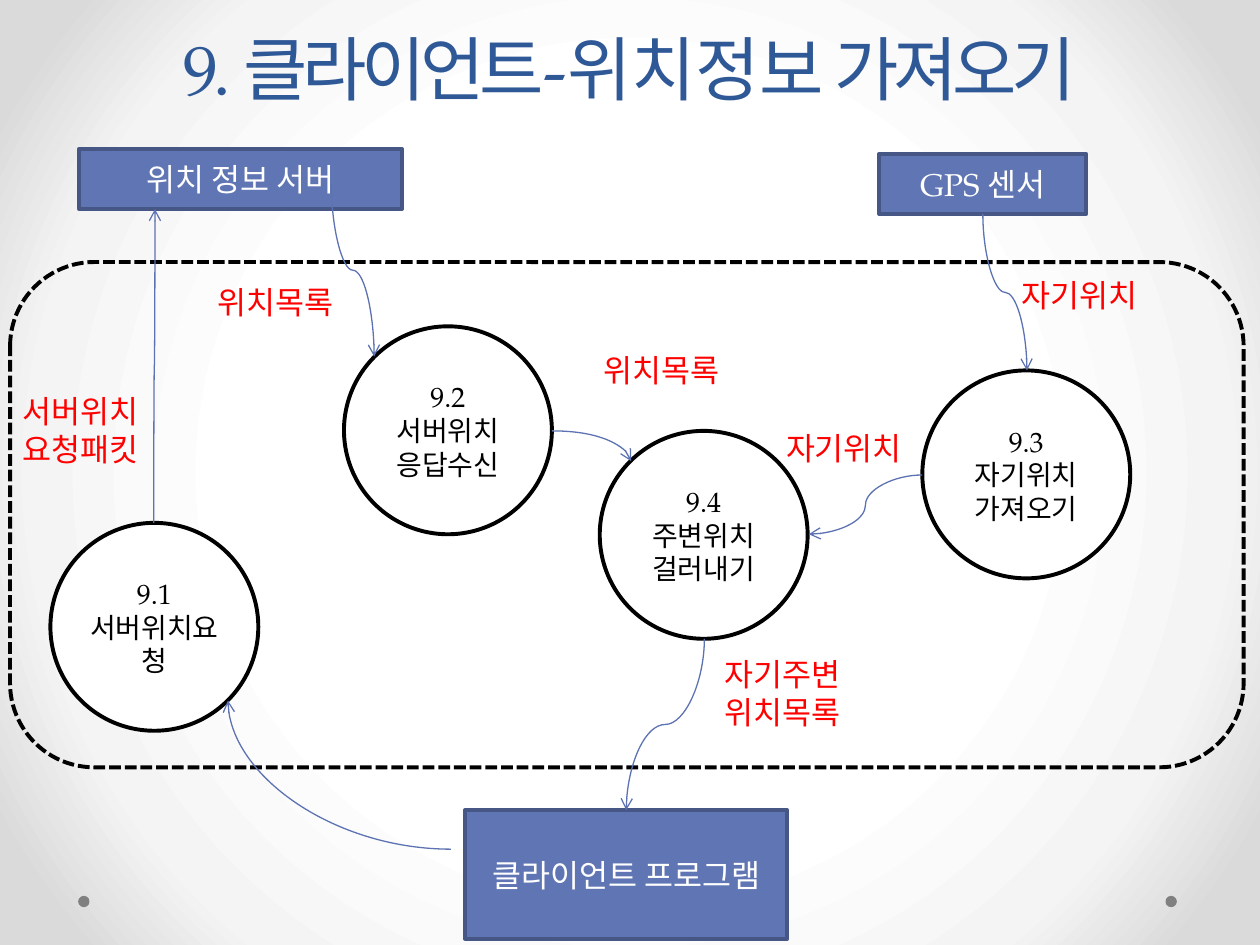
from lxml.etree import SubElement
from pptx import Presentation
from pptx.dml.color import RGBColor
from pptx.enum.dml import MSO_LINE
from pptx.enum.shapes import MSO_CONNECTOR, MSO_SHAPE
from pptx.enum.text import MSO_ANCHOR, MSO_AUTO_SIZE, PP_ALIGN
from pptx.oxml import parse_xml
from pptx.oxml.ns import nsdecls, qn
from pptx.util import Inches, Pt

theme = {
    "font": "TeX Gyre Pagella",
    "title": "2F5897", "box": "6076B4", "box_line": "475785", "arrow": "5C72B2",
    "label": "FF0000", "white": "FFFFFF", "black": "000000", "dot": "808080",
    "title_size": 40, "text_size": 18, "circle_size": 16, "outline": 2.25, "arrow_width": 0.75,
    "background": [(0, "FFFFFF"), (50, "FFFFFF"), (76, "F4F4F4"), (92, "DADADA"), (100, "DADADA")],
}


def write(frame, lines, size, color, align, **formats):
    """Fill a text frame with one paragraph per line."""
    for name, value in {"word_wrap": True, **formats}.items():
        setattr(frame, name, value)
    for number, line in enumerate(lines):
        para = frame.paragraphs[0] if number == 0 else frame.add_paragraph()
        para.alignment = align
        span = para.add_run()
        span.text = line
        for name, value in {"name": theme["font"], "size": Pt(size)}.items():
            setattr(span.font, name, value)
        span.font.color.rgb = RGBColor.from_string(color)


def add_figure(kind, left, top, width, height, fill=None, line=None):
    """Add a flat preset shape."""
    shape = page.shapes.add_shape(kind, Inches(left), Inches(top), Inches(width), Inches(height))
    shape.shadow.inherit = False
    if fill:
        shape.fill.solid()
        shape.fill.fore_color.rgb = RGBColor.from_string(theme[fill])
    else:
        shape.fill.background()
    if line:
        shape.line.color.rgb = RGBColor.from_string(theme[line])
        shape.line.width = Pt(theme["outline"])
    else:
        shape.line.fill.background()
    return shape


deck = Presentation()
deck.slide_width, deck.slide_height = Inches(10), Inches(7.5)
page = deck.slides.add_slide(deck.slide_layouts[5])

# Background: round gradient from the centre
stops = "".join(f'<a:gs pos="{pos * 1000}"><a:srgbClr val="{color}"/></a:gs>'
                for pos, color in theme["background"])
page.background.fill.solid()
properties = page.background.fill._xPr
properties.replace(properties.find(qn("a:solidFill")), parse_xml(
    f'<a:gradFill {nsdecls("a")} rotWithShape="1"><a:gsLst>{stops}</a:gsLst><a:path path="circle">'
    '<a:fillToRect l="50000" t="50000" r="50000" b="50000"/></a:path></a:gradFill>'))

# Corner dots
for left in (0.62, 9.25):
    add_figure(MSO_SHAPE.OVAL, left, 7.11, 0.09, 0.09, "dot")

# Title, tightened except for one word
title = page.shapes.title
for name, value in {"left": 0.5, "top": 0, "width": 9, "height": 0.92}.items():
    setattr(title, name, Inches(value))
write(title.text_frame, ["9. 클라이언트-"], theme["title_size"], theme["title"],
      PP_ALIGN.CENTER, vertical_anchor=MSO_ANCHOR.BOTTOM, auto_size=MSO_AUTO_SIZE.NONE)
heading = title.text_frame.paragraphs[0]
heading.line_spacing = Pt(58)
for text in ("위치정보", " 가져오기"):
    span = heading.add_run()
    span.text = text
    span.font.name, span.font.size = theme["font"], Pt(theme["title_size"])
    span.font.color.rgb = RGBColor.from_string(theme["title"])
for span, spacing in zip(heading.runs, (-300, 0, -300)):
    span.font._element.set("spc", str(spacing))

# Client boundary
boundary = add_figure(MSO_SHAPE.ROUNDED_RECTANGLE, 0.08, 2.08, 9.79, 4.01, line="black")
boundary.line.dash_style = MSO_LINE.SQUARE_DOT

# External parties
for text, *place in [
    ("클라이언트 프로그램", 3.69, 6.43, 2.56, 1.02),
    ("GPS 센서", 6.98, 1.22, 1.64, 0.48),
    ("위치 정보 서버", 0.63, 1.18, 2.56, 0.48),
]:
    box = add_figure(MSO_SHAPE.RECTANGLE, *place, "box", "box_line")
    write(box.text_frame, [text], theme["text_size"], theme["white"], PP_ALIGN.CENTER,
          vertical_anchor=MSO_ANCHOR.MIDDLE)

# Processes
margins = dict.fromkeys(("margin_left", "margin_top", "margin_right", "margin_bottom"), Inches(0.04))
for left, top, *lines in [
    (0.4, 4.15, "9.1", "서버위치요청"),
    (2.73, 2.59, "9.2", "서버위치", "응답수신"),
    (7.32, 2.94, "9.3", "자기위치", "가져오기"),
    (4.76, 3.42, "9.4", "주변위치", "걸러내기"),
]:
    circle = add_figure(MSO_SHAPE.OVAL, left, top, 1.65, 1.65, "white", "black")
    write(circle.text_frame, lines, theme["circle_size"], theme["black"], PP_ALIGN.CENTER,
          vertical_anchor=MSO_ANCHOR.MIDDLE, **margins)

# Data flows: S-curves leave upright or level, arcs leave level and arrive upright
for course, x1, y1, x2, y2 in [
    ("upright", 5.59, 5.07, 4.97, 6.43),
    ("upright", 1.22, 4.15, 1.23, 1.66),
    ("upright", 7.8, 1.7, 8.15, 2.94),
    ("upright", 2.63, 1.46, 2.97, 2.83),
    ("level", 7.32, 3.77, 6.42, 4.24),
    ("arc", 3.58, 6.74, 1.81, 5.56),
    ("arc", 4.38, 3.42, 5.01, 3.66),
]:
    arrow = page.shapes.add_connector(MSO_CONNECTOR.CURVE, *map(Inches, (x1, y1, x2, y2)))
    arrow.line.color.rgb = RGBColor.from_string(theme["arrow"])
    arrow.line.width = Pt(theme["arrow_width"])
    SubElement(arrow.line._get_or_add_ln(), qn("a:tailEnd"), type="arrow")
    outline = arrow._element.spPr
    SubElement(outline, qn("a:effectLst"))
    if course == "arc":
        outline.find(qn("a:prstGeom")).set("prst", "curvedConnector2")
    if course == "upright":
        # A quarter turn about the middle swaps width and height
        across, down = abs(x2 - x1), abs(y2 - y1)
        arrow.left, arrow.top = Inches((x1 + x2 - down) / 2), Inches((y1 + y2 - across) / 2)
        arrow.width, arrow.height = Inches(down), Inches(across)
        turn = outline.find(qn("a:xfrm"))
        turn.set("rot", str((270 if x2 > x1 else 90) * 60000))
        turn.set("flipH", "1" if (x2 > x1) == (y2 > y1) else "0")
        turn.set("flipV", "0")

# Flow labels
for left, top, width, *lines in [
    (5.65, 5.15, 1.32, "자기주변", "위치목록"),
    (1.63, 2.2, 1.34, "위치목록"),
    (6.14, 3.36, 1.34, "자기위치"),
    (0.08, 3.06, 1.34, "서버위치", "요청패킷"),
    (4.69, 2.74, 1.34, "위치목록"),
    (8.01, 2.14, 1.34, "자기위치"),
]:
    height = 0.4 if len(lines) == 1 else 0.71
    label = page.shapes.add_textbox(*map(Inches, (left, top, width, height)))
    write(label.text_frame, lines, theme["text_size"], theme["label"], PP_ALIGN.LEFT,
          auto_size=MSO_AUTO_SIZE.SHAPE_TO_FIT_TEXT)

deck.save("out.pptx")
